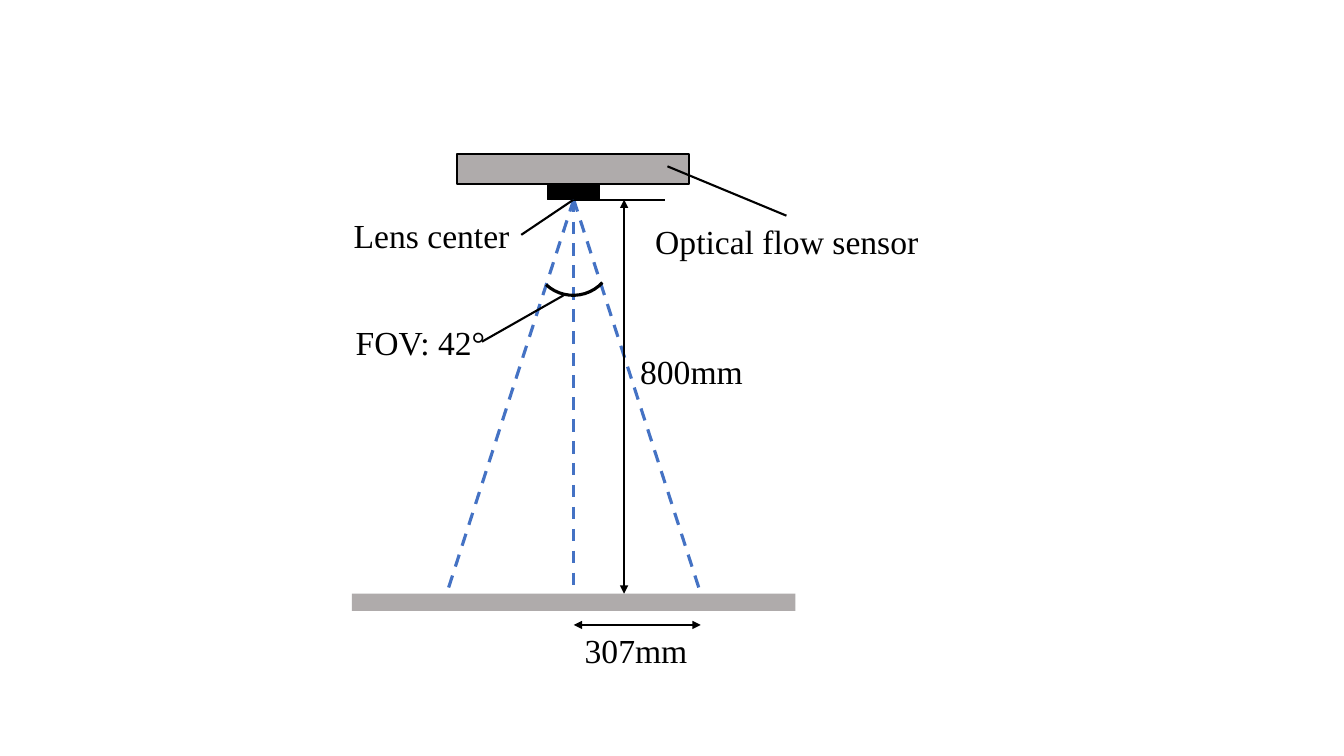
from pptx import Presentation
from pptx.dml.color import RGBColor
from pptx.enum.dml import MSO_LINE as Dash
from pptx.enum.shapes import MSO_CONNECTOR as Conn, MSO_SHAPE as Kind
from pptx.enum.text import MSO_AUTO_SIZE as Fit
from pptx.oxml.ns import qn
from pptx.util import Inches, Pt
from lxml.etree import SubElement

BLACK = RGBColor(0x00, 0x00, 0x00)
GRAY = RGBColor(0xAF, 0xAB, 0xAB)
BLUE = RGBColor(0x44, 0x72, 0xC4)

# Main levels of the diagram, in inches
AXIS, LENS, GROUND = 5.69, 1.98, 5.89
HALF = 1.26         # half of the field of view at ground level
DEPTH, SPAN = 6.19, 6.2  # x of the height arrow, y of the width arrow

# Content: left, top, width, height, fill, outline width
BARS = [
    (4.53, 1.53, 2.3, 0.3, GRAY, 1.5),     # sensor board
    (5.43, 1.83, 0.51, 0.15, BLACK, 1),    # lens
    (3.49, GROUND, 4.4, 0.17, GRAY, None), # ground
]
LABELS = [  # text, left, top, width
    ("Optical flow sensor", 6.4, 2.14, 2.82),
    ("Lens center", 3.41, 2.08, 1.76),
    ("FOV: 42°", 3.43, 3.14, 1.7),
    ("800mm", 6.25, 3.43, 1.25),
    ("307mm", 5.7, SPAN, 1.25),
]
LEADERS = [  # start, end
    ((6.62, 1.65), (7.8, 2.14)),           # to sensor
    ((5.17, 2.33), (AXIS, LENS)),          # to lens center
    ((5.59, 2.93), (4.78, 3.39)),          # to angle
    ((AXIS, LENS), (6.6, LENS)),           # lens level
]
SIZES = [  # start, end of the dimension arrows
    ((DEPTH, LENS), (DEPTH, GROUND)),
    ((AXIS, SPAN), (AXIS + HALF, SPAN)),
]

deck = Presentation()
deck.slide_width, deck.slide_height = Inches(13.33), Inches(7.5)
shapes = deck.slides.add_slide(deck.slide_layouts[6]).shapes


def add_part(kind, left, top, width, height, fill, weight):
    part = shapes.add_shape(kind, Inches(left), Inches(top),
                            Inches(width), Inches(height))
    part.shadow.inherit = False
    if fill is None:
        part.fill.background()
    else:
        part.fill.solid()
        part.fill.fore_color.rgb = fill
    if weight is None:
        part.line.fill.background()
    else:
        part.line.color.rgb = BLACK
        part.line.width = Pt(weight)
    return part


def add_line(start, end, color=BLACK, weight=1.5, dash=None, arrows=False):
    points = [Inches(v) for v in (*start, *end)]
    link = shapes.add_connector(Conn.STRAIGHT, *points)
    link.line.color.rgb = color
    link.line.width = Pt(weight)
    if dash is not None:
        link.line.dash_style = dash
    if arrows:
        stroke = link.line._get_or_add_ln()
        for tip in ("a:headEnd", "a:tailEnd"):
            SubElement(stroke, qn(tip), type="triangle")
    SubElement(link._element.spPr, qn("a:effectLst"))


# Sensor, lens and ground
for bar in BARS:
    add_part(Kind.RECTANGLE, *bar)

# Rays from the lens center
for shift in (0, -HALF, HALF):
    add_line((AXIS, LENS), (AXIS + shift, GROUND), BLUE, 2.25, Dash.DASH)

# Angle mark
arc = add_part(Kind.ARC, 5.29, 2.14, 0.79, 0.79, None, 2.25)
arc.rotation = 132.9

# Leaders and dimensions
for start, end in LEADERS:
    add_line(start, end)
for start, end in SIZES:
    add_line(start, end, arrows=True)

# Labels
for text, left, top, width in LABELS:
    box = shapes.add_textbox(Inches(left), Inches(top), Inches(width), Inches(0.5))
    frame = box.text_frame
    frame.word_wrap = False
    frame.auto_size = Fit.SHAPE_TO_FIT_TEXT
    frame.text = text
    font = frame.paragraphs[0].font
    font.name, font.size = "Times New Roman", Pt(24)
    font.color.rgb = BLACK

deck.save("out.pptx")
